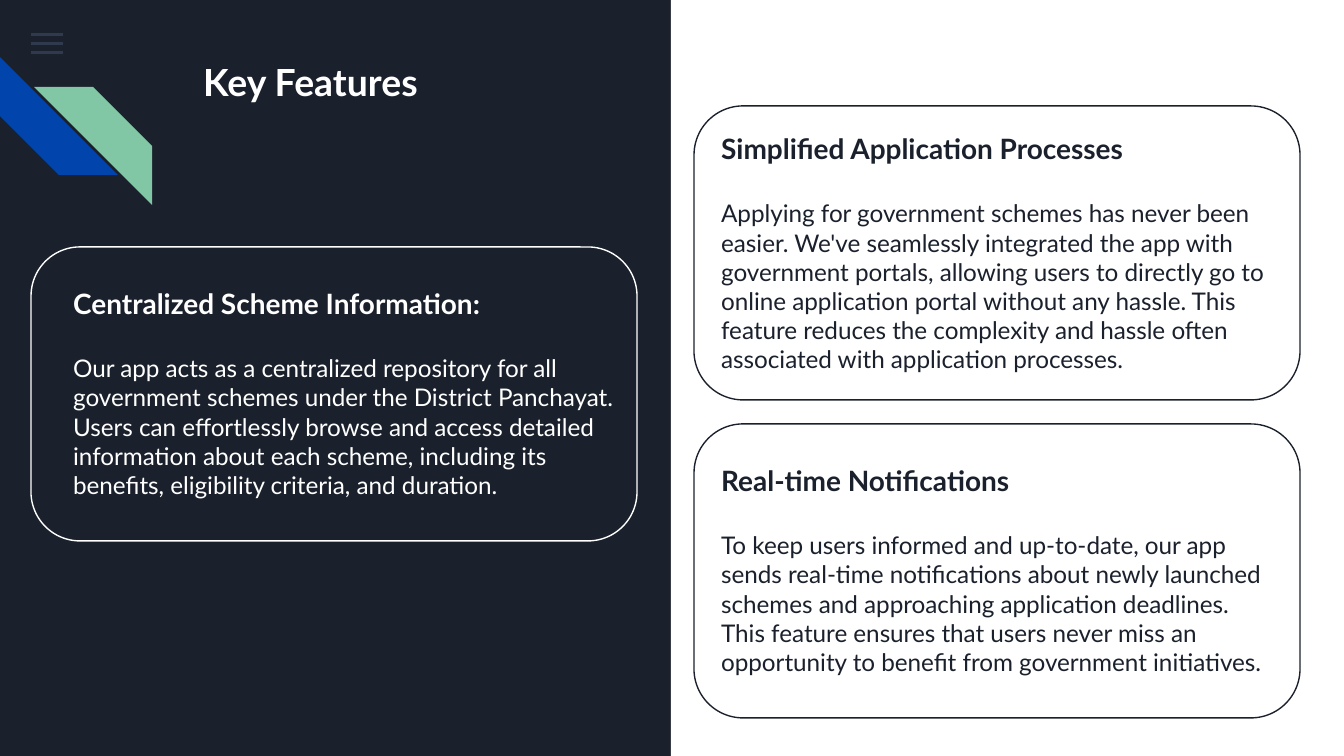
"""Build the Key Features slide with three framed feature descriptions."""
from lxml.etree import SubElement
from pptx import Presentation
from pptx.dml.color import RGBColor
from pptx.enum.shapes import MSO_SHAPE
from pptx.enum.text import MSO_AUTO_SIZE
from pptx.oxml.ns import qn
from pptx.util import Pt

PX = 914400 / 134.4
C = {"dark": "1B212C", "white": "FFFFFF", "menu": "55688B", "blue": "0145AC", "green": "82C7A5"}


def add_shape(kind, *box, fill=None, line=None, adj=None, rotation=0, alpha=None):
    sp = s.shapes.add_shape(kind, *[round(v * PX) for v in box])
    sp.shadow.inherit = False
    sp.rotation = rotation
    if adj is not None:
        sp.adjustments[0] = adj
    if fill:
        sp.fill.solid()
        sp.fill.fore_color.rgb = RGBColor.from_string(C[fill])
    else:
        sp.fill.background()
    if line:
        sp.line.color.rgb = RGBColor.from_string(C[line])
        sp.line.width = Pt(0.75)
    else:
        sp.line.fill.background()
    if alpha:
        clr = sp.element.spPr.find(qn("a:solidFill"))[0]
        SubElement(clr, qn("a:alpha"), val=str(alpha * 1000))


def add_text(*box, title, size, color, body=None):
    tb = s.shapes.add_textbox(*[round(v * PX) for v in box])
    tf = tb.text_frame
    tf.word_wrap = True
    tf.auto_size = MSO_AUTO_SIZE.SHAPE_TO_FIT_TEXT
    tf.margin_left = tf.margin_right = tf.margin_top = tf.margin_bottom = Pt(7.2)
    p = tf.paragraphs[0]
    runs = [(p, title, size, True)]
    if body:
        p.space_after = Pt(18)
        runs.append((tf.add_paragraph(), body, 13, False))
    for p, text, pt, bold in runs:
        r = p.add_run()
        r.text = text
        r.font.name = "Lato"
        r.font.size = Pt(pt)
        r.font.bold = bold
        r.font.color.rgb = RGBColor.from_string(C[color])


prs = Presentation()
prs.slide_width, prs.slide_height = round(1344 * PX), round(756 * PX)
s = prs.slides.add_slide(prs.slide_layouts[6])
s.background.fill.solid()
s.background.fill.fore_color.rgb = RGBColor.from_string(C["dark"])

add_shape(MSO_SHAPE.RECTANGLE, 671, 0, 673, 756, fill="white")
for i in range(3):
    add_shape(MSO_SHAPE.RECTANGLE, 31, 33 + 9 * i, 32, 3, fill="menu", alpha=36)
add_shape(MSO_SHAPE.DIAGONAL_STRIPE, 0, 57, 118, 118, fill="blue", adj=0.5, rotation=270)
add_shape(MSO_SHAPE.DIAGONAL_STRIPE, 34, 87, 118, 118, fill="green", adj=0.5, rotation=90)

add_text(190, 46, 289, 73, title="Key Features", size=20, color="white")

features = [
    (31, 247, 60, 273, 242, "white", "Centralized Scheme Information:",
     "Our app acts as a centralized repository for all government schemes under the "
     "District Panchayat. Users can effortlessly browse and access detailed information "
     "about each scheme, including its benefits, eligibility criteria, and duration."),
    (694, 106, 708, 118, 271, "dark", "Simplified Application Processes",
     "Applying for government schemes has never been easier. We've seamlessly integrated "
     "the app with government portals, allowing users to directly go to online application "
     "portal without any hassle. This feature reduces the complexity and hassle often "
     "associated with application processes."),
    (694, 424, 708, 450, 242, "dark", "Real-time Notifications",
     "To keep users informed and up-to-date, our app sends real-time notifications about "
     "newly launched schemes and approaching application deadlines. This feature ensures "
     "that users never miss an opportunity to benefit from government initiatives."),
]
for x, y, text_x, text_y, text_h, color, title, body in features:
    add_text(text_x, text_y, 578, text_h, title=title, size=15, color=color, body=body)
    add_shape(MSO_SHAPE.ROUNDED_RECTANGLE, x, y, 606, 294, line=color, adj=0.167)

prs.save("out.pptx")
